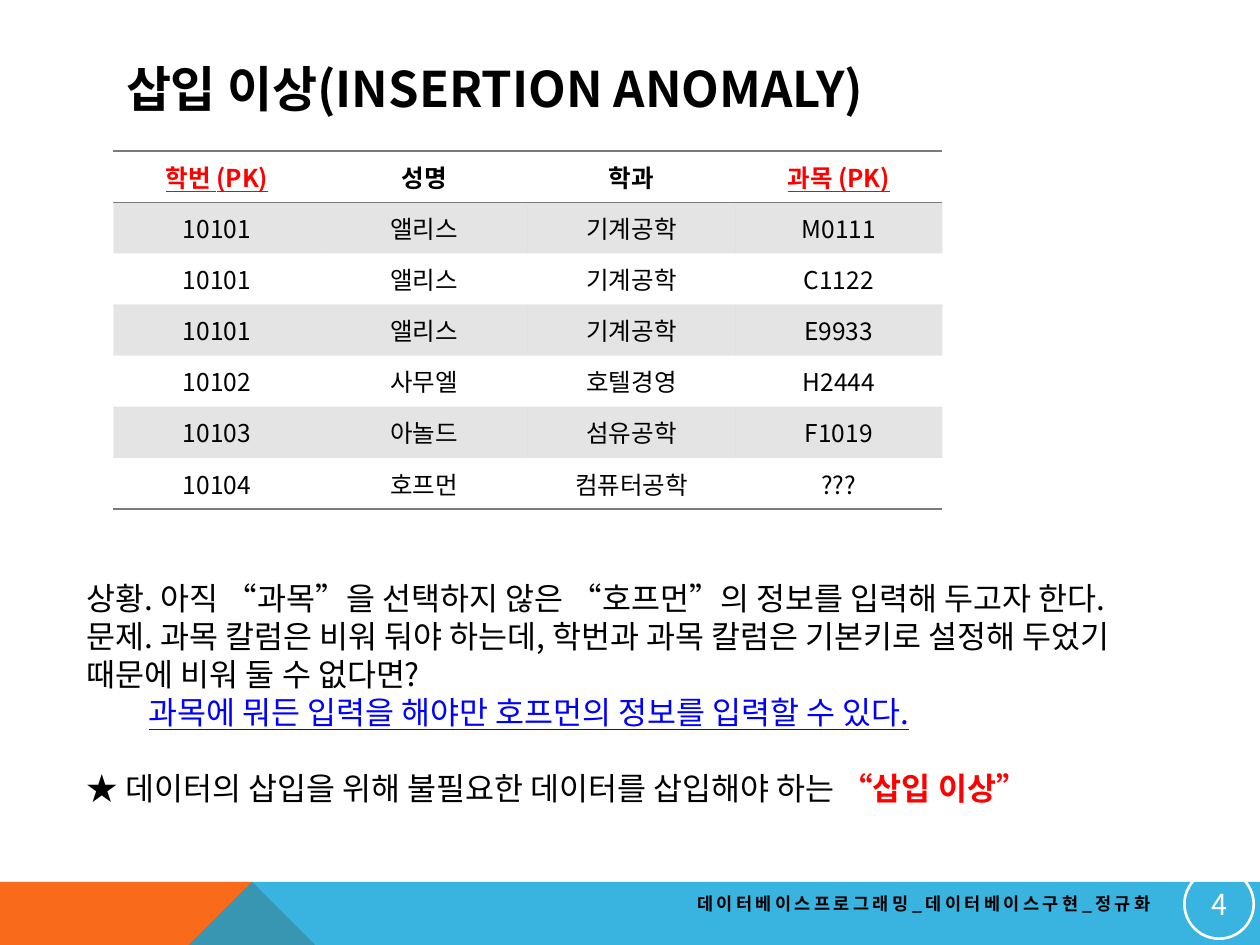
from pptx import Presentation
from pptx.dml.color import RGBColor
from pptx.enum.shapes import MSO_SHAPE
from pptx.enum.text import MSO_ANCHOR, MSO_AUTO_SIZE, PP_ALIGN
from pptx.oxml.ns import qn
from pptx.util import Inches, Pt
from lxml import etree

LEFT, CENTER, RIGHT = PP_ALIGN.LEFT, PP_ALIGN.CENTER, PP_ALIGN.RIGHT
MIDDLE, TOP = MSO_ANCHOR.MIDDLE, MSO_ANCHOR.TOP
NO_FIT = MSO_AUTO_SIZE.NONE
OVAL = MSO_SHAPE.OVAL

BLACK = RGBColor(0x00, 0x00, 0x00)
WHITE = RGBColor(0xFF, 0xFF, 0xFF)
RED = RGBColor(0xFF, 0x00, 0x00)
BLUE = RGBColor(0x00, 0x00, 0xFF)
GRAY = RGBColor(0x79, 0x7B, 0x7E)
ORANGE = RGBColor(0xF9, 0x6A, 0x1B)
SKY = RGBColor(0x08, 0xA1, 0xD9)

FONT = "Noto Sans CJK KR"
PLAIN_TABLE = "{2D5ABB26-0587-4C30-8999-92F81FD0307C}"
WIDTH, HEIGHT = 10, 7.5
BAND_TOP = 6.82

ROWS = [
    ("학번 (PK)", "성명", "학과", "과목 (PK)"),
    ("10101", "앨리스", "기계공학", "M0111"),
    ("10101", "앨리스", "기계공학", "C1122"),
    ("10101", "앨리스", "기계공학", "E9933"),
    ("10102", "사무엘", "호텔경영", "H2444"),
    ("10103", "아놀드", "섬유공학", "F1019"),
    ("10104", "호프먼", "컴퓨터공학", "???"),
]

# Each paragraph: its runs with their formats, left indent, space before in points.
BODY = [
    ([("상황. 아직 “과목”을 선택하지 않은 “호프먼”의 정보를 입력해 두고자 한다.", {})], 0, 0),
    ([("문제. 과목 칼럼은 비워 둬야 하는데, 학번과 과목 칼럼은 기본키로 설정해 두었기", {})], 0, 0),
    ([("때문에 비워 둘 수 없다면?", {})], 0, 0),
    ([("과목에 뭐든 입력을 해야만 호프먼의 정보를 입력할 수 있다.",
       {"color": BLUE, "underline": True})], 0.49, 0),
    ([("★ 데이터의 삽입을 위해 불필요한 데이터를 삽입해야 하는 ", {}),
      ("“삽입 이상”", {"color": RED, "bold": True})], 0, 21.8),
]


def set_alpha(properties, percent):
    """Make the solid fill of a shape or cell partly transparent."""
    color = properties.find(qn("a:solidFill"))[0]
    etree.SubElement(color, qn("a:alpha")).set("val", str(percent * 1000))


class SlideBuilder:
    """Holds the font and the current slide, and adds elements to it."""

    def __init__(self, prs, font):
        """Start a slide with a title and a body."""
        self.font = font
        self.slide = prs.slides.add_slide(prs.slide_layouts[1])

    def style(self, r, size, color=BLACK, bold=False, underline=False, spacing=0):
        """Format one run."""
        r.font.name = self.font
        r.font.size = Pt(size)
        r.font.color.rgb = color
        r.font.bold = bold
        r.font.underline = underline
        rPr = r._r.get_or_add_rPr()
        etree.SubElement(rPr, qn("a:ea")).set("typeface", self.font)
        if spacing:
            rPr.set("spc", str(spacing * 100))

    def place(self, sp, left, top, width, height):
        """Move and size a shape in inches."""
        sp.left, sp.top = Inches(left), Inches(top)
        sp.width, sp.height = Inches(width), Inches(height)

    def put_text(self, tf, text, size, align, **look):
        """Put one formatted paragraph in a vertically centred frame."""
        tf.text = text
        tf.vertical_anchor = MIDDLE
        p = tf.paragraphs[0]
        p.alignment = align
        self.style(p.runs[0], size, **look)

    def title(self, text, box):
        """Fill the title placeholder."""
        sp = self.slide.shapes.title
        self.place(sp, *box)
        sp.text_frame.auto_size = NO_FIT
        self.put_text(sp.text_frame, text, 28, LEFT, bold=True)

    def body(self, paragraphs, box):
        """Fill the body placeholder with unbulleted paragraphs."""
        sp = self.slide.placeholders[1]
        self.place(sp, *box)
        tf = sp.text_frame
        tf.auto_size = NO_FIT
        tf.vertical_anchor = TOP
        for i, (runs, indent, before) in enumerate(paragraphs):
            p = tf.add_paragraph() if i else tf.paragraphs[0]
            p.alignment = LEFT
            p.line_spacing = Pt(21.8)
            p.space_before = Pt(before)
            pPr = p._p.get_or_add_pPr()
            pPr.set("marL", str(Inches(indent)))
            pPr.set("indent", "0")
            etree.SubElement(pPr, qn("a:buNone"))
            for text, look in runs:
                r = p.add_run()
                r.text = text
                self.style(r, 18, **look)

    def polygon(self, points, color, alpha=100):
        """Draw a filled outline through points in inches."""
        builder = self.slide.shapes.build_freeform(*points[0], scale=Inches(1))
        builder.add_line_segments(points[1:])
        sp = builder.convert_to_shape()
        sp.shadow.inherit = False
        sp.line.fill.background()
        sp.fill.solid()
        sp.fill.fore_color.rgb = color
        set_alpha(sp._element.spPr, alpha)

    def text(self, text, box, size, align, **look):
        """Add a wrapped text box."""
        sp = self.slide.shapes.add_textbox(*map(Inches, box))
        sp.text_frame.word_wrap = True
        self.put_text(sp.text_frame, text, size, align, **look)

    def badge(self, text, box):
        """Add the ringed page number."""
        sp = self.slide.shapes.add_shape(OVAL, *map(Inches, box))
        sp.shadow.inherit = False
        sp.fill.background()
        sp.line.color.rgb = WHITE
        sp.line.width = Pt(1.5)
        tf = sp.text_frame
        tf.margin_left = tf.margin_right = Inches(0.01)
        tf.margin_top = tf.margin_bottom = Inches(0.01)
        self.put_text(tf, text, 16.5, CENTER, color=WHITE)

    def rule(self, cell, side):
        """Draw a thin border on one side of a cell: lnT or lnB."""
        ln = etree.SubElement(cell._tc.get_or_add_tcPr(), qn("a:" + side))
        ln.set("w", str(Pt(1)))
        fill = etree.SubElement(ln, qn("a:solidFill"))
        etree.SubElement(fill, qn("a:srgbClr")).set("val", str(GRAY))

    def table(self, rows, box):
        """Add a table with a ruled header, key columns and banded rows."""
        frame = self.slide.shapes.add_table(len(rows), len(rows[0]), *map(Inches, box))
        table = frame.table
        table._tbl.tblPr.find(qn("a:tableStyleId")).text = PLAIN_TABLE
        for i, row in enumerate(rows):
            for j, text in enumerate(row):
                cell = table.cell(i, j)
                key = "(PK)" in text
                self.put_text(cell.text_frame, text, 14, CENTER, bold=i == 0,
                              color=RED if key else BLACK, underline=key)
                cell.vertical_anchor = MIDDLE
                if i == 0:
                    self.rule(cell, "lnT")
                if i in (0, len(rows) - 1):
                    self.rule(cell, "lnB")
                if i % 2:
                    cell.fill.solid()
                    cell.fill.fore_color.rgb = GRAY
                    set_alpha(cell._tc.tcPr, 20)
                else:
                    cell.fill.background()


def main():
    """Build the slide and save it."""
    prs = Presentation()
    prs.slide_width, prs.slide_height = Inches(WIDTH), Inches(HEIGHT)
    page = SlideBuilder(prs, FONT)
    page.polygon([(0, BAND_TOP), (2.23, BAND_TOP), (2.81, HEIGHT), (0, HEIGHT)], ORANGE)
    page.polygon([(1.46, HEIGHT), (2.23, BAND_TOP), (WIDTH, BAND_TOP), (WIDTH, HEIGHT)],
                 SKY, 80)
    page.title("삽입 이상(INSERTION ANOMALY)", (0.9, 0.4, 8.22, 0.6))
    page.table(ROWS, (0.9, 1.2, 6.58, 2.84))
    page.text("데이터베이스프로그래밍_데이터베이스구현_정규화", (4.06, 7.02, 5.17, 0.3),
              10, RIGHT, bold=True, spacing=2)
    page.badge("4", (9.4, 6.9, 0.55, 0.55))
    page.body(BODY, (0.59, 4.54, 9.38, 1.92))
    prs.save("out.pptx")


main()
